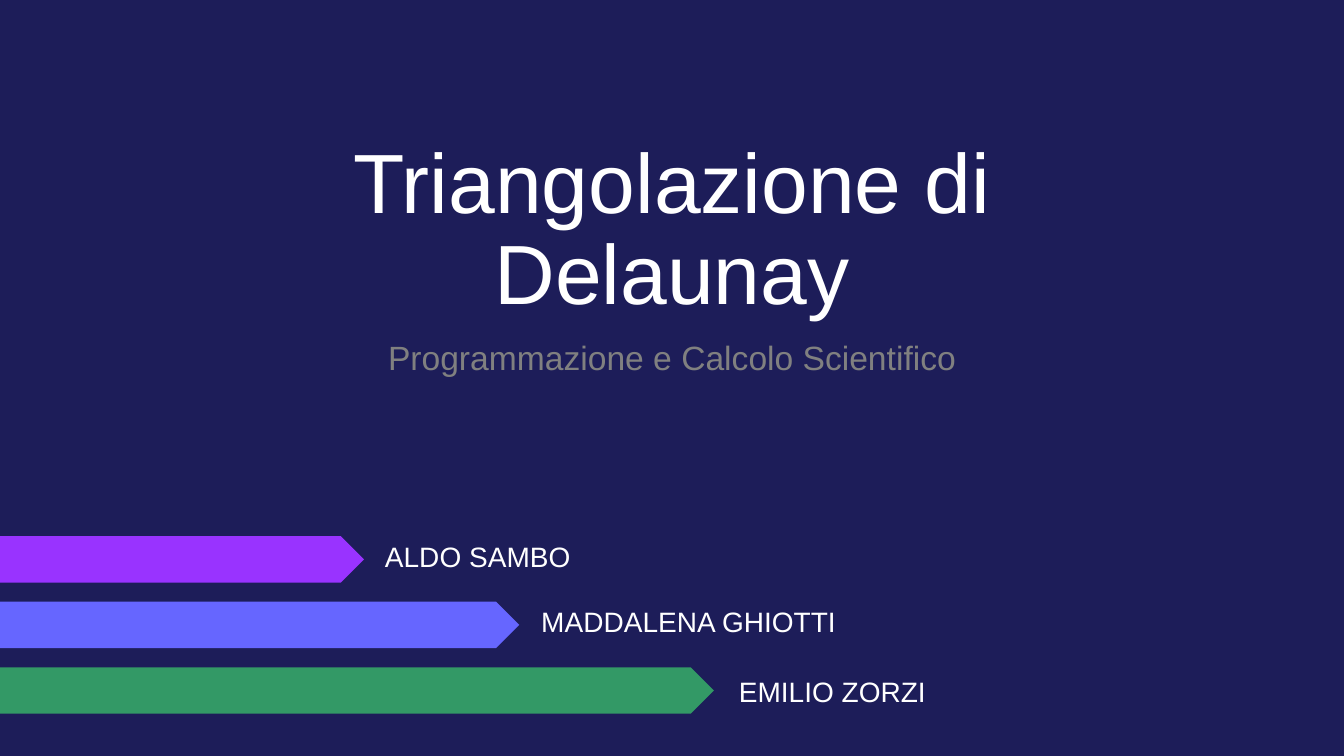
from pptx import Presentation
from pptx import util as u
from pptx.dml.color import RGBColor
from pptx.enum import shapes, text

COLORS = {
    "night": "1D1D59",
    "white": "FFFFFF",
    "grey": "808080",
    "violet": "9933FF",
    "blue": "6666FF",
    "green": "339966",
}
WIDTH, HEIGHT = 13.33, 7.5
BAR_TOP, BAR_STEP, BAR_HEIGHT = 5.32, 0.65, 0.46

# Author, bar colour, bar length, name left, name offset from the bar top
AUTHORS = [
    ("ALDO SAMBO", "violet", 3.61, 3.72, -0.02),
    ("MADDALENA GHIOTTI", "blue", 5.15, 5.27, -0.02),
    ("EMILIO ZORZI", "green", 7.08, 7.23, 0.02),
]


def paint(fill, color):
    fill.solid()
    fill.fore_color.rgb = RGBColor.from_string(COLORS[color])


def add_label(slide, words, place, size, color="white", frame_format=None, line_format=None):
    box = slide.shapes.add_textbox(*map(u.Inches, place))
    frame = box.text_frame
    line = frame.paragraphs[0]
    line.text = words
    font_format = {"name": "Arial", "size": u.Pt(size)}
    for target, values in (
        (frame, {"word_wrap": True, **(frame_format or {})}),
        (line, line_format or {}),
        (line.font, font_format),
    ):
        for attribute, value in values.items():
            setattr(target, attribute, value)
    line.font.color.rgb = RGBColor.from_string(COLORS[color])


def add_bar(slide, top, length, color):
    bar = slide.shapes.add_shape(
        shapes.MSO_SHAPE.PENTAGON, 0, u.Inches(top), u.Inches(length), u.Inches(BAR_HEIGHT)
    )
    bar.shadow.inherit = False
    paint(bar.fill, color)
    bar.line.fill.background()


def main():
    deck = Presentation()
    deck.slide_width, deck.slide_height = u.Inches(WIDTH), u.Inches(HEIGHT)
    slide = deck.slides.add_slide(deck.slide_layouts[6])
    paint(slide.background.fill, "night")

    # Title and subtitle, centred on the middle three quarters of the slide
    left, width = WIDTH / 8, WIDTH * 3 / 4
    centred = {"alignment": text.PP_ALIGN.CENTER, "line_spacing": 0.9}
    add_label(
        slide, "Triangolazione di Delaunay", (left, 1.9, width, 1.35), 60,
        frame_format={"vertical_anchor": text.MSO_ANCHOR.BOTTOM}, line_format=centred,
    )
    add_label(
        slide, "Programmazione e Calcolo Scientifico", (left, 3.34, width, 0.6), 24,
        color="grey", line_format=centred,
    )

    # One arrow bar per author, with the name beyond its tip
    for row, (author, color, length, name_left, offset) in enumerate(AUTHORS):
        top = BAR_TOP + row * BAR_STEP
        add_bar(slide, top, length, color)
        add_label(
            slide, author, (name_left, top + offset, WIDTH / 3, 0.44), 20,
            frame_format={"auto_size": text.MSO_AUTO_SIZE.SHAPE_TO_FIT_TEXT},
        )

    deck.save("out.pptx")


if __name__ == "__main__":
    main()
